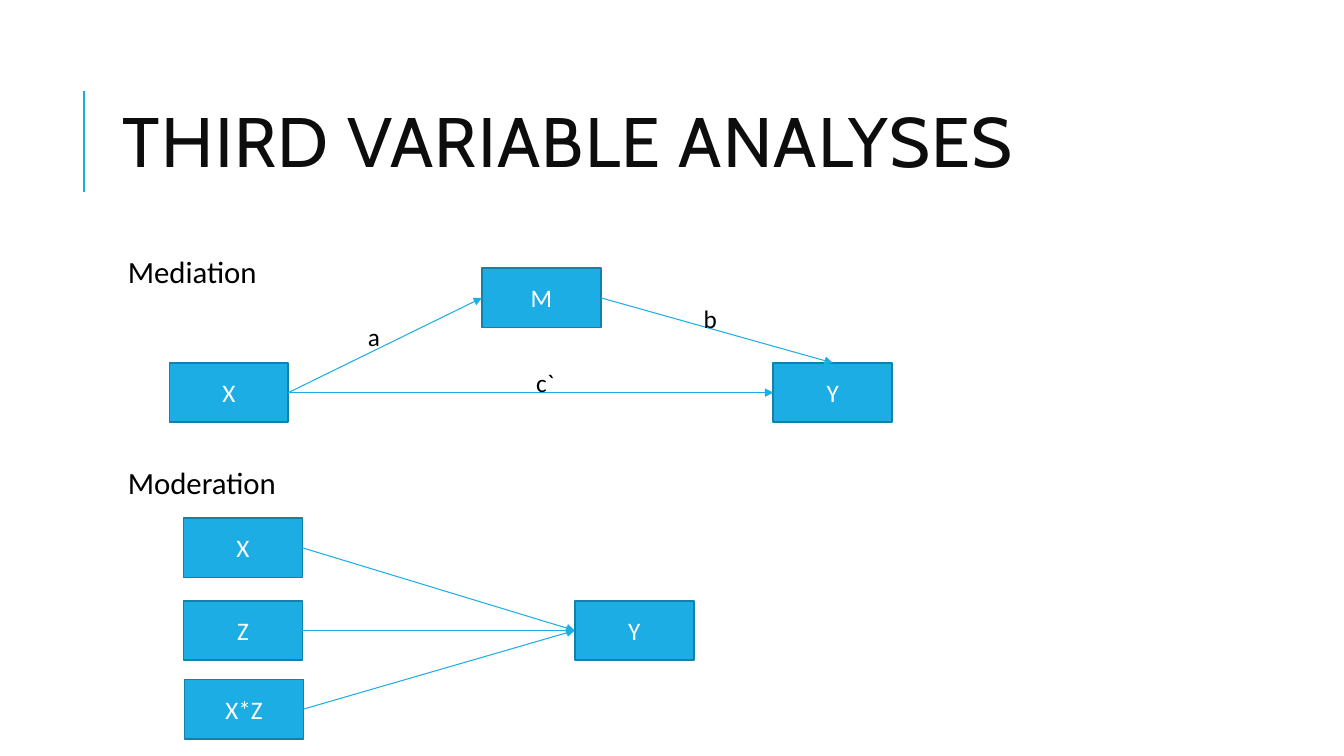
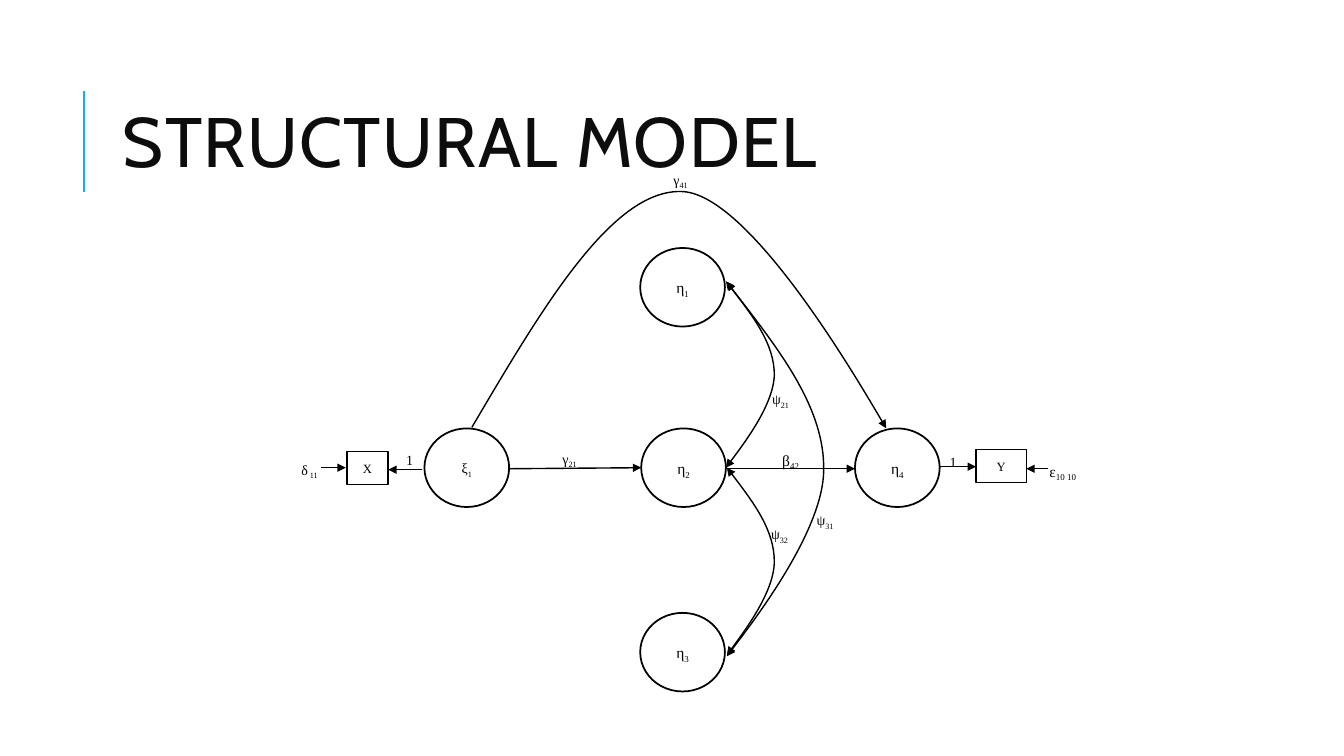
"""Build two slides: third variable analyses and a structural model."""
from lxml.etree import SubElement
from pptx import Presentation
from pptx.dml.color import RGBColor
from pptx.enum.shapes import MSO_CONNECTOR, MSO_SHAPE
from pptx.enum.text import MSO_ANCHOR, PP_ALIGN
from pptx.oxml.ns import qn
from pptx.util import Pt

PX = 9144
BLUE, DARK_BLUE = "1CADE4", "1580A9"
BLACK, NEAR_BLACK, WHITE = "000000", "0D0D0D", "FFFFFF"
TITLE_FONT, BODY_FONT, SYMBOL_FONT = "Cabin", "Calibri", "Times New Roman"
TOP, LEFT, RIGHT = 0, 1, 3
CENTERED = {"alignment": PP_ALIGN.CENTER}
SYMBOL = {"line_spacing": 1.15, "space_after": Pt(10)}


def write(shape, text, font, size, colour, paragraph_format, anchor=MSO_ANCHOR.TOP):
    """Write one paragraph; what follows an underscore is a subscript."""
    frame = shape.text_frame
    frame.word_wrap = True
    frame.vertical_anchor = anchor
    paragraph = frame.paragraphs[0]
    for name, value in paragraph_format.items():
        setattr(paragraph, name, value)
    base, _, subscript = text.partition("_")
    for part, baseline in ((base, None), (subscript, "-25000")):
        if part:
            run = paragraph.add_run()
            run.text = part
            run.font.name, run.font.size = font, Pt(size)
            run.font.color.rgb = RGBColor.from_string(colour)
            if baseline:
                run._r.get_or_add_rPr().set("baseline", baseline)


def outline(shape, colour, width, arrowheads=()):
    """Set the line, its arrowheads and an empty effect list."""
    shape.line.color.rgb = RGBColor.from_string(colour)
    shape.line.width = Pt(width)
    properties = shape._element.spPr
    for end in arrowheads:
        SubElement(properties.find(qn("a:ln")), qn(f"a:{end}"), type="triangle")
    SubElement(properties, qn("a:effectLst"))


presentation = Presentation()
presentation.slide_width, presentation.slide_height = 1333 * PX, 750 * PX

slides = []
for title in ("THIRD VARIABLE ANALYSES", "STRUCTURAL MODEL"):
    slide = presentation.slides.add_slide(presentation.slide_layouts[6])
    rule = slide.shapes.add_connector(MSO_CONNECTOR.STRAIGHT, 83 * PX, 190 * PX, 83 * PX, 90 * PX)
    outline(rule, BLUE, 1.5)
    title_box = slide.shapes.add_textbox(112 * PX, 64 * PX, 1063 * PX, 164 * PX)
    write(title_box, title, TITLE_FONT, 50, NEAR_BLACK, {"line_spacing": 0.8}, MSO_ANCHOR.MIDDLE)
    title_box.text_frame.paragraphs[0].runs[0]._r.get_or_add_rPr().set("spc", "100")
    slides.append(slide)
analyses, model = slides

for heading, top in (("Mediation", 250), ("Moderation", 459)):
    box = analyses.shapes.add_textbox(117 * PX, top * PX, 300 * PX, 45 * PX)
    write(box, heading, BODY_FONT, 22, BLACK, {"line_spacing": 0.9})

variables = {}
for key, text, left, top in (
    ("cause", "X", 168, 360),
    ("mediator", "M", 478, 266),
    ("effect", "Y", 767, 360),
    ("predictor", "X", 182, 514),
    ("moderator", "Z", 182, 596),
    ("interaction", "X*Z", 183, 674),
    ("outcome", "Y", 570, 596),
):
    box = analyses.shapes.add_shape(MSO_SHAPE.RECTANGLE, left * PX, top * PX, 118 * PX, 59 * PX)
    box.fill.solid()
    box.fill.fore_color.rgb = RGBColor.from_string(BLUE)
    outline(box, DARK_BLUE, 1.25)
    write(box, text, BODY_FONT, 18, WHITE, CENTERED, MSO_ANCHOR.MIDDLE)
    variables[key] = box

for source, target, site in (
    ("cause", "mediator", LEFT),
    ("mediator", "effect", TOP),
    ("cause", "effect", LEFT),
    ("predictor", "outcome", LEFT),
    ("moderator", "outcome", LEFT),
    ("interaction", "outcome", LEFT),
):
    arrow = analyses.shapes.add_connector(MSO_CONNECTOR.STRAIGHT, 0, 0, 0, 0)
    arrow.begin_connect(variables[source], RIGHT)
    arrow.end_connect(variables[target], site)
    outline(arrow, BLUE, 0.75, ["tailEnd"])

for text, left, top in (("a", 355, 314), ("b", 688, 296), ("c`", 522, 359)):
    box = analyses.shapes.add_textbox(left * PX, top * PX, 50 * PX, 40 * PX)
    write(box, text, BODY_FONT, 18, BLACK, {})

for start_x, start_y, end_x, end_y in (
    (318, 464, 343, 464),
    (419, 466, 385, 466),
    (506, 465, 636, 464),
    (720, 465, 848, 465),
    (932, 463, 968, 463),
    (1039, 465, 1018, 465),
):
    arrow = model.shapes.add_connector(
        MSO_CONNECTOR.STRAIGHT, start_x * PX, start_y * PX, end_x * PX, end_y * PX
    )
    outline(arrow, BLACK, 1, ["tailEnd"])

both_ends = ["headEnd", "tailEnd"]
for arrowheads, start, *points in (
    (["tailEnd"], (468, 424), (537, 307), (606, 189), (675, 190), (743, 190), (879, 425), (879, 425)),
    (both_ends, (720, 279), (744, 310), (768, 341), (768, 372), (767, 403), (720, 464), (720, 464)),
    (both_ends, (721, 464), (745, 495), (768, 526), (768, 557), (768, 588), (721, 650), (721, 650)),
    (both_ends, (721, 280), (769, 342), (818, 404), (817, 466), (817, 528), (721, 651), (721, 651)),
):
    builder = model.shapes.build_freeform(*start, scale=PX)
    builder.add_line_segments(points, close=False)
    curve = builder.convert_to_shape()
    outline_path = curve._element.spPr.find(".//" + qn("a:path"))
    segments = outline_path.findall(qn("a:lnTo"))
    for first in range(0, len(segments), 3):
        bezier = SubElement(outline_path, qn("a:cubicBezTo"))
        for segment in segments[first:first + 3]:
            bezier.append(segment[0])
            outline_path.remove(segment)
    curve.fill.background()
    outline(curve, BLACK, 1, arrowheads)

for text, size, left, top in (
    ("η_1", 11, 635, 246),
    ("η_2", 11, 636, 425),
    ("η_3", 11, 635, 608),
    ("η_4", 11, 848, 425),
    ("ξ_1", 10, 421, 425),
):
    circle = model.shapes.add_shape(MSO_SHAPE.OVAL, left * PX, top * PX, 84 * PX, 78 * PX)
    circle.fill.background()
    outline(circle, BLACK, 1.25)
    write(circle, text, SYMBOL_FONT, size, BLACK, SYMBOL | CENTERED, MSO_ANCHOR.MIDDLE)

for text, left, top, width in (("X", 344, 448, 41), ("Y", 968, 446, 50)):
    box = model.shapes.add_shape(MSO_SHAPE.RECTANGLE, left * PX, top * PX, width * PX, 33 * PX)
    box.fill.solid()
    box.fill.fore_color.rgb = RGBColor.from_string(WHITE)
    outline(box, BLACK, 1)
    write(box, text, SYMBOL_FONT, 9, BLACK, CENTERED, MSO_ANCHOR.MIDDLE)

for text, size, left, top in (
    ("ψ_31", 10, 800, 500),
    ("ψ_21", 10, 756, 380),
    ("ψ_32", 10, 755, 514),
    ("γ_41", 10, 658, 162),
    ("γ_21", 10, 548, 439),
    ("β_42", 11, 766, 439),
    ("ε_10 10", 11, 1031, 450),
    ("δ_ 11", 10, 289, 450),
    ("1", 10, 393, 441),
    ("1", 10, 932, 442),
):
    box = model.shapes.add_textbox(left * PX, top * PX, 51 * PX, 28 * PX)
    write(box, text, SYMBOL_FONT, size, BLACK, SYMBOL)

presentation.save("out.pptx")
